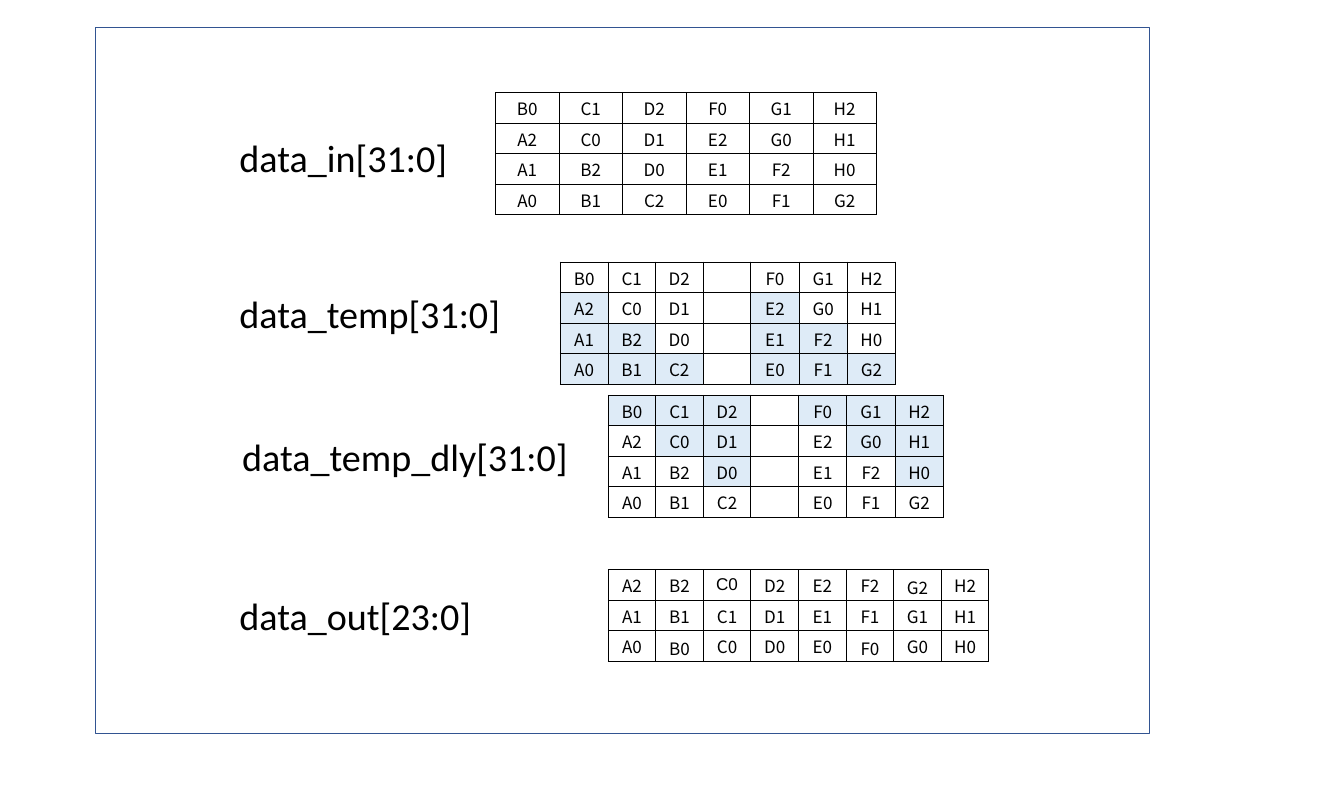
from collections import namedtuple
from dataclasses import dataclass

from lxml import etree
from pptx import Presentation
from pptx.dml.color import RGBColor
from pptx.enum.shapes import MSO_SHAPE
from pptx.enum.text import MSO_ANCHOR, MSO_AUTO_SIZE, PP_ALIGN
from pptx.oxml.ns import qn
from pptx.util import Pt

RECTANGLE = MSO_SHAPE.RECTANGLE
TOP, MIDDLE = MSO_ANCHOR.TOP, MSO_ANCHOR.MIDDLE
CENTER = PP_ALIGN.CENTER
FIT_SHAPE = MSO_AUTO_SIZE.SHAPE_TO_FIT_TEXT

BLANK_LAYOUT = 6
HALF_WIDTH = 200.9
ROW_HEIGHT = 32.2
LABEL_HEIGHT = 56.2
TIGHT_CELL = {"margin_left": Pt(0.7), "margin_right": Pt(0.7), "margin_top": Pt(0.7),
              "margin_bottom": Pt(0), "vertical_anchor": MIDDLE}
TOP_CELL = {"margin_left": Pt(10.8), "margin_right": Pt(10.8), "margin_top": Pt(5),
            "margin_bottom": Pt(0), "vertical_anchor": TOP}
LABEL_FRAME = {"word_wrap": False, "auto_size": FIT_SHAPE}

Bus = namedtuple("Bus", "label label_left label_top label_width left top lanes "
                        "gap column_widths samples shaded top_cells")


@dataclass(frozen=True)
class Theme:
    """Colours, fonts and sizes of the slide."""
    paper: RGBColor = RGBColor(0xFF, 0xFF, 0xFF)
    ink: RGBColor = RGBColor(0, 0, 0)
    frame: RGBColor = RGBColor(0x32, 0x54, 0x91)
    shade: RGBColor = RGBColor(0xDE, 0xEB, 0xF7)
    label_font: str = "Calibri"
    cell_font: str = "Noto Sans CJK SC"
    odd_font: str = "Arial"
    label_size: float = 40.2
    cell_size: float = 18
    line_width: float = 1


THEME = Theme()


def apply_format(target, values):
    """Set every attribute in values on the target."""
    for name, value in values.items():
        setattr(target, name, value)


def style_font(font, name, size):
    """Give a font its name, size and ink colour."""
    apply_format(font, {"name": name, "size": Pt(size)})
    font.color.rgb = THEME.ink


def samples_for(letters):
    """List three samples for each letter."""
    return [f"{letter}{number}" for letter in letters for number in range(3)]


def stack(samples, lanes):
    """Arrange samples in columns that fill from the bottom lane up."""
    return [samples[lane::lanes] for lane in reversed(range(lanes))]


def add_frame(slide):
    """Draw the rectangle around the diagram."""
    frame = slide.shapes.add_shape(RECTANGLE, Pt(100.8), Pt(29.5), Pt(1111.7), Pt(744.5))
    frame.shadow.inherit = False
    frame.fill.solid()
    frame.fill.fore_color.rgb = THEME.paper
    frame.line.color.rgb = THEME.frame
    frame.line.width = Pt(THEME.line_width)


def add_label(slide, bus):
    """Write the name of a bus."""
    box = slide.shapes.add_textbox(Pt(bus.label_left), Pt(bus.label_top),
                                   Pt(bus.label_width), Pt(LABEL_HEIGHT))
    apply_format(box.text_frame, LABEL_FRAME)
    span = box.text_frame.paragraphs[0].add_run()
    span.text = bus.label
    style_font(span.font, THEME.label_font, THEME.label_size)


def add_borders(cell):
    """Outline all four sides of a cell."""
    properties = cell._tc.get_or_add_tcPr()
    for side in ("lnL", "lnR", "lnT", "lnB"):
        line = etree.SubElement(properties, qn(f"a:{side}"), w=str(Pt(THEME.line_width)))
        fill = etree.SubElement(line, qn("a:solidFill"))
        etree.SubElement(fill, qn("a:srgbClr"), val=str(THEME.ink))


def fill_cell(cell, text, shaded, cell_format, font_name):
    """Format one cell and write its sample."""
    apply_format(cell, cell_format)
    add_borders(cell)
    if shaded:
        cell.fill.solid()
        cell.fill.fore_color.rgb = THEME.shade
    else:
        cell.fill.background()
    para = cell.text_frame.paragraphs[0]
    para.alignment = CENTER
    if text:
        span = para.add_run()
        span.text = text
        style_font(span.font, font_name, THEME.cell_size)


def add_sample_table(slide, bus, half):
    """Add one half of the samples carried by a bus."""
    rows = stack(bus.samples[half], bus.lanes)
    if bus.gap and half == 0:
        rows = [row + [""] for row in rows]
    column_width = bus.column_widths[half]
    column_count = len(rows[0])
    table = slide.shapes.add_table(
        bus.lanes, column_count, Pt(bus.left + half * HALF_WIDTH), Pt(bus.top),
        Pt(column_width * column_count), Pt(ROW_HEIGHT * bus.lanes)).table
    apply_format(table, {"first_row": False, "horz_banding": False})
    for column in table.columns:
        column.width = Pt(column_width)
    for row in table.rows:
        row.height = Pt(ROW_HEIGHT)
    for row, texts in enumerate(rows):
        for column, text in enumerate(texts):
            at_top = (row, column) in bus.top_cells
            odd = at_top and text == "C0"
            fill_cell(table.cell(row, column), text,
                      bool(text) and bus.shaded(row, column),
                      TOP_CELL if at_top else TIGHT_CELL,
                      THEME.odd_font if odd else THEME.cell_font)


def list_buses():
    """Describe the four buses from top to bottom."""
    halves = samples_for("ABCD"), samples_for("EFGH")
    output_left = "A0 A1 A2 B0 B1 B2 C0 C1 C0 D0 D1 D2".split()

    def plain(row, column):
        """Shade nothing."""
        return False

    def lower(row, column):
        """Shade below the diagonal."""
        return row > column

    def upper(row, column):
        """Shade on and above the diagonal."""
        return row <= column

    return [
        Bus("data_in[31:0]", 245.5, 138.2, 236.2, 522.7, 97.9, 4, False,
            (66.96, 66.96), halves, plain, ()),
        Bus("data_temp[31:0]", 245.5, 303.1, 295.9, 591.1, 276.5, 4, True,
            (50.2, 50.9), halves, lower, ()),
        Bus("data_temp_dly[31:0]", 248.4, 453.6, 361.4, 641.5, 416.9, 4, True,
            (50.2, 50.9), halves, upper, ()),
        Bus("data_out[23:0]", 245.5, 621.4, 261.4, 641.5, 601.2, 3, False,
            (50.2, 50.2), (output_left, halves[1]), plain, ((0, 2), (2, 1))),
    ]


def main():
    """Build the slide and save the deck."""
    deck = Presentation()
    apply_format(deck, {"slide_width": Pt(1417.7), "slide_height": Pt(850.3)})
    slide = deck.slides.add_slide(deck.slide_layouts[BLANK_LAYOUT])
    add_frame(slide)
    for bus in list_buses():
        add_label(slide, bus)
        for half in range(2):
            add_sample_table(slide, bus, half)
    deck.save("out.pptx")


main()
